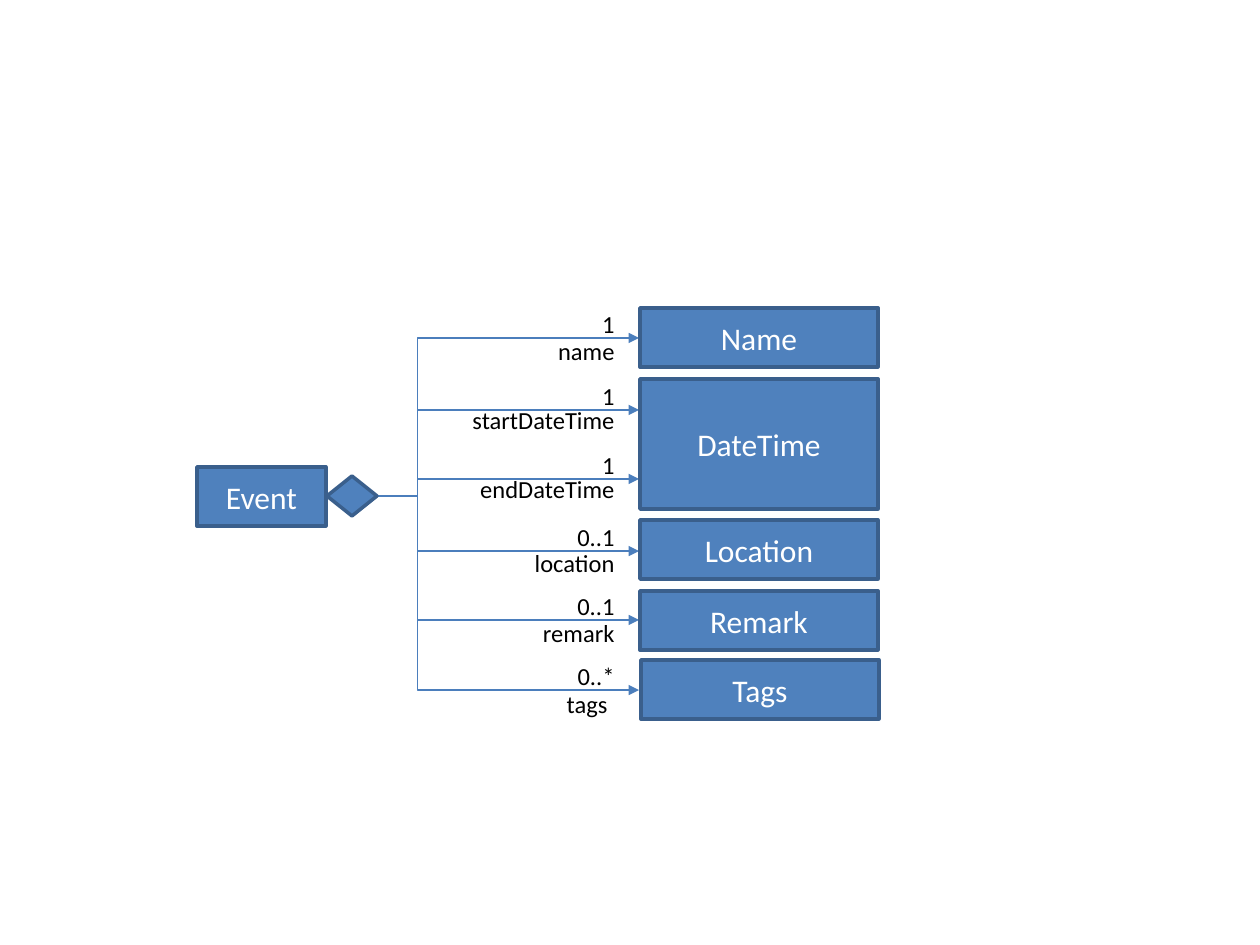
from lxml import etree
from pptx import Presentation
from pptx import util as u
from pptx.dml.color import RGBColor
from pptx.enum import shapes, text
from pptx.oxml.ns import qn

PX = 914400 / 126
FONT = "Calibri"
FILL, EDGE, WIRE = "4F81BD", "3A5F8C", "4B7EBC"
WHITE, BLACK = "FFFFFF", "000000"

# text, left, top, width, height
CLASSES = [
    ("Event", 197, 467, 129, 59),
    ("Name", 640, 308, 238, 59),
    ("DateTime", 640, 379, 238, 130),
    ("Location", 640, 520, 238, 59),
    ("Remark", 640, 591, 238, 59),
    ("Tags", 641, 660, 238, 59),
]
# multiplicity, role, line height, role top, role right edge
ATTRIBUTES = [
    ("1", "name", 338, 329, 627),
    ("1", "startDateTime", 410, 398, 627),
    ("1", "endDateTime", 479, 467, 627),
    ("0..1", "location", 551, 541, 627),
    ("0..1", "remark", 620, 611, 627),
    ("0..*", "tags", 690, 682, 620),
]
DIAMOND = (327, 476, 50, 40)
TRUNK_X, TIP_X = 418, 639
LABEL_HEIGHT, LABEL_RIGHT, LABEL_RISE = 43, 627, 36
MULTIPLICITY_WIDTH, ROLE_WIDTH = 86, 215


def px(*lengths):
    return [u.Emu(round(length * PX)) for length in lengths]


def rgb(colour):
    return RGBColor.from_string(colour)


def write(frame, words, size, colour, align):
    frame.word_wrap = True
    frame.vertical_anchor = text.MSO_ANCHOR.MIDDLE
    para = frame.paragraphs[0]
    para.text = words
    para.alignment = align
    para.font.name, para.font.size = FONT, u.Pt(size)
    para.font.color.rgb = rgb(colour)


def add_filled(page, kind, place):
    shape = page.shapes.add_shape(kind, *px(*place))
    shape.shadow.inherit = False
    shape.fill.solid()
    shape.fill.fore_color.rgb = rgb(FILL)
    shape.line.color.rgb = rgb(EDGE)
    shape.line.width = u.Pt(2)
    return shape


def add_label(page, words, right, top, width):
    box = page.shapes.add_textbox(*px(right - width, top, width, LABEL_HEIGHT))
    write(box.text_frame, words, 14, BLACK, text.PP_ALIGN.RIGHT)


def add_branch(page, start_x, start_y, end_y):
    """Elbow arrow that turns at the shared trunk."""
    wire = page.shapes.add_connector(
        shapes.MSO_CONNECTOR.ELBOW, *px(start_x, start_y, TIP_X, end_y))
    wire.line.color.rgb = rgb(WIRE)
    wire.line.width = u.Pt(0.75)
    properties = wire._element.spPr
    guides = properties.find(qn("a:prstGeom")).get_or_add_avLst()
    turn = round(100000 * (TRUNK_X - start_x) / (TIP_X - start_x))
    etree.SubElement(guides, qn("a:gd"), name="adj1", fmla=f"val {turn}")
    etree.SubElement(wire.line._get_or_add_ln(), qn("a:tailEnd"), type="triangle")
    etree.SubElement(properties, qn("a:effectLst"))


def main():
    deck = Presentation()
    deck.slide_width, deck.slide_height = u.Inches(10), u.Inches(7.5)
    page = deck.slides.add_slide(deck.slide_layouts[6])

    left, top, width, height = DIAMOND
    for multiplicity, role, line_y, role_top, role_right in ATTRIBUTES:
        add_branch(page, left + width, top + height / 2, line_y)
        add_label(page, multiplicity, LABEL_RIGHT, line_y - LABEL_RISE,
                  MULTIPLICITY_WIDTH)
        add_label(page, role, role_right, role_top, ROLE_WIDTH)

    for name, *place in CLASSES:
        box = add_filled(page, shapes.MSO_SHAPE.RECTANGLE, place)
        write(box.text_frame, name, 18, WHITE, text.PP_ALIGN.CENTER)
    add_filled(page, shapes.MSO_SHAPE.FLOWCHART_DECISION, DIAMOND)

    deck.save("out.pptx")


if __name__ == "__main__":
    main()
